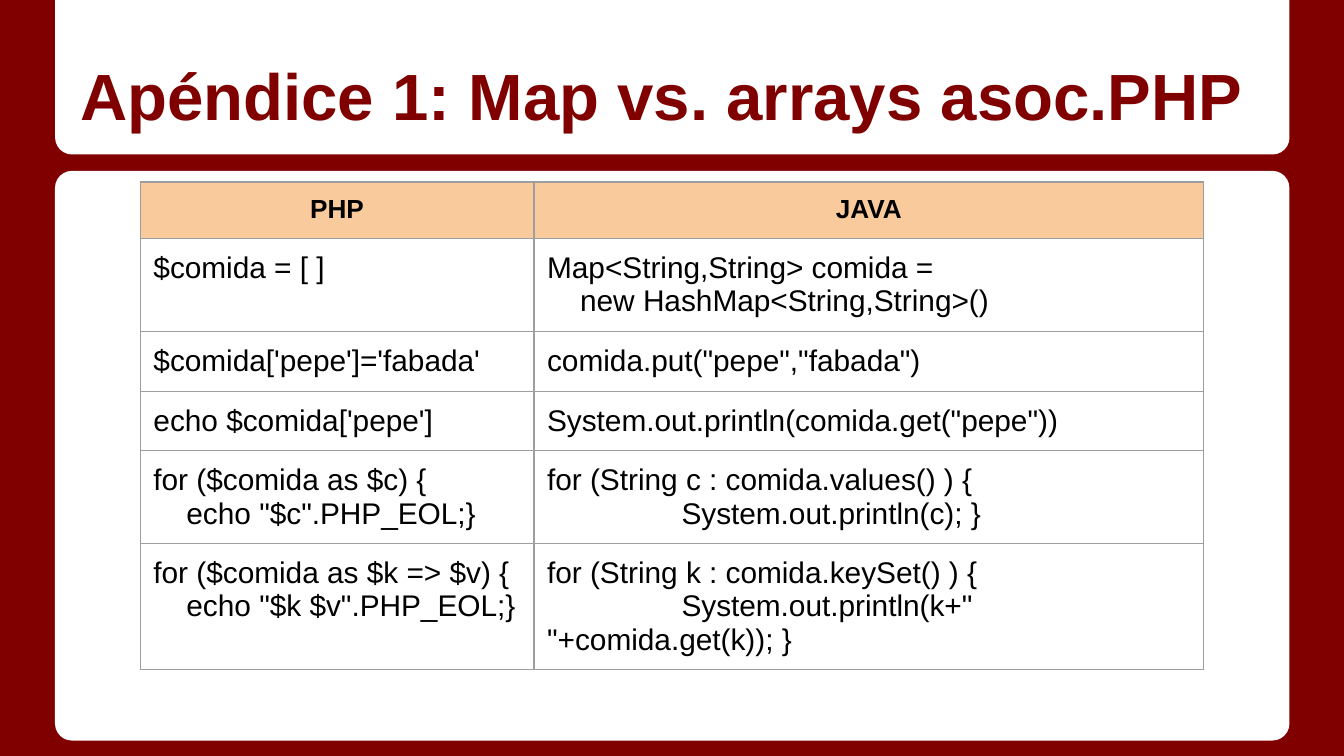
from lxml import etree
from pptx import Presentation
from pptx.dml.color import RGBColor
from pptx.enum.shapes import MSO_SHAPE
from pptx.enum.text import MSO_ANCHOR, MSO_AUTO_SIZE, PP_ALIGN
from pptx.oxml.ns import qn
from pptx.util import Cm, Pt

ROUNDED = MSO_SHAPE.ROUNDED_RECTANGLE
ROUNDED_TOP = MSO_SHAPE.ROUND_2_SAME_RECTANGLE
LEFT, CENTER = PP_ALIGN.LEFT, PP_ALIGN.CENTER
TOP, BOTTOM = MSO_ANCHOR.TOP, MSO_ANCHOR.BOTTOM
NO_AUTOFIT = MSO_AUTO_SIZE.NONE
TITLE_ONLY = 5

CODE_ROWS = [
    ("$comida = [ ]",
     "Map<String,String> comida =\n    new HashMap<String,String>()"),
    ("$comida['pepe']='fabada'", 'comida.put("pepe","fabada")'),
    ("echo $comida['pepe']", 'System.out.println(comida.get("pepe"))'),
    ('for ($comida as $c) {\n    echo "$c".PHP_EOL;}',
     "for (String c : comida.values() ) {\n\tSystem.out.println(c); }"),
    ('for ($comida as $k => $v) {\n    echo "$k $v".PHP_EOL;}',
     "for (String k : comida.keySet() ) {\n"
     '\tSystem.out.println(k+" "+comida.get(k)); }'),
]


def color(value):
    return RGBColor.from_string(value)


class SlideBuilder:
    FONT = "Arial"
    MAROON = "800000"
    WHITE = "FFFFFF"
    BLACK = "000000"
    PEACH = "F9CB9C"
    GRAY = "9E9E9E"
    INSET = Cm(0.25)
    TAB = Cm(2.54)

    def __init__(self, slide):
        self.slide = slide
        fill = slide.background.fill
        fill.solid()
        fill.fore_color.rgb = color(self.MAROON)

    def panel(self, kind, box, corners, rotation=0):
        shape = self.slide.shapes.add_shape(kind, *map(Cm, box))
        for index, corner in enumerate(corners):
            shape.adjustments[index] = corner
        shape.rotation = rotation
        shape.shadow.inherit = False
        shape.fill.solid()
        shape.fill.fore_color.rgb = color(self.WHITE)
        shape.line.fill.background()

    def format_paragraph(self, paragraph, size, bold, rgb, alignment):
        paragraph.alignment = alignment
        for run in paragraph.runs:
            font = run.font
            font.name, font.size, font.bold = self.FONT, Pt(size), bold
            font.color.rgb = color(rgb)

    def title(self, text, box):
        title = self.slide.shapes.title
        title.left, title.top, title.width, title.height = map(Cm, box)
        # Bring the title in front of the panels
        title.element.getparent().append(title.element)
        frame = title.text_frame
        frame.text = text
        frame.word_wrap = True
        frame.auto_size = NO_AUTOFIT
        frame.vertical_anchor = BOTTOM
        frame.margin_left = frame.margin_right = self.INSET
        frame.margin_top = frame.margin_bottom = self.INSET
        self.format_paragraph(frame.paragraphs[0], 35, True, self.MAROON, LEFT)

    def borders(self, cell):
        properties = cell._tc.get_or_add_tcPr()
        for index, side in enumerate(("a:lnL", "a:lnR", "a:lnT", "a:lnB")):
            line = etree.Element(qn(side), w=str(Pt(0.75)))
            fill = etree.SubElement(line, qn("a:solidFill"))
            etree.SubElement(fill, qn("a:srgbClr"), val=self.GRAY)
            properties.insert(index, line)

    def tab_stop(self, paragraph):
        tabs = etree.SubElement(paragraph._p.get_or_add_pPr(), qn("a:tabLst"))
        etree.SubElement(tabs, qn("a:tab"), pos=str(self.TAB), algn="l")

    def cell(self, cell, text, header):
        cell.text_frame.text = text
        cell.vertical_anchor = TOP
        cell.margin_left = cell.margin_right = self.INSET
        cell.margin_top = cell.margin_bottom = self.INSET
        if header:
            cell.fill.solid()
            cell.fill.fore_color.rgb = color(self.PEACH)
        else:
            cell.fill.background()
        self.borders(cell)
        size, alignment = (14, CENTER) if header else (16, LEFT)
        for paragraph in cell.text_frame.paragraphs:
            if "\t" in paragraph.text:
                self.tab_stop(paragraph)
            self.format_paragraph(paragraph, size, header, self.BLACK, alignment)

    def table(self, rows, left, top, widths, row_height):
        table = self.slide.shapes.add_table(
            len(rows), len(widths), Cm(left), Cm(top),
            Cm(sum(widths)), Cm(row_height * len(rows))).table
        for column, width in zip(table.columns, widths):
            column.width = Cm(width)
        for row_index, texts in enumerate(rows):
            for column_index, text in enumerate(texts):
                self.cell(table.cell(row_index, column_index), text,
                          header=row_index == 0)


def main():
    presentation = Presentation()
    presentation.slide_width = Cm(25.4)
    presentation.slide_height = Cm(14.29)
    layout = presentation.slide_layouts[TITLE_ONLY]
    builder = SlideBuilder(presentation.slides.add_slide(layout))

    # White panels for the body and the title
    builder.panel(ROUNDED, (1.04, 3.23, 23.33, 10.77), [0.03])
    builder.panel(ROUNDED_TOP, (1.04, 0, 23.33, 2.92), [0.11, 0], rotation=180)

    # Title
    builder.title("Apéndice 1: Map vs. arrays asoc.PHP", (1.27, 0.38, 22.86, 2.39))

    # Comparison of both languages
    builder.table([("PHP", "JAVA"), *CODE_ROWS], 2.65, 3.44, (7.44, 12.66), 1.07)

    presentation.save("out.pptx")


if __name__ == "__main__":
    main()
